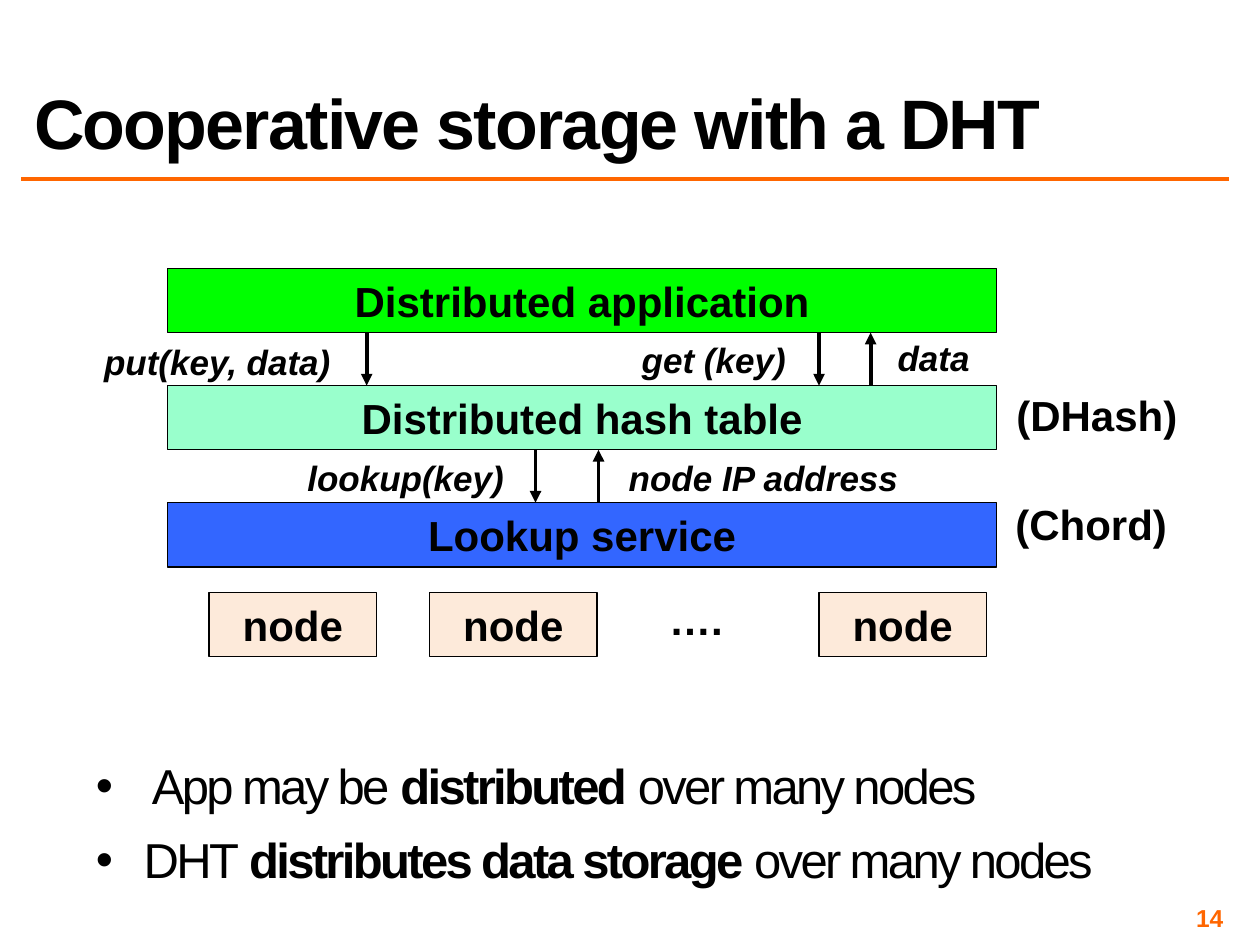
"""Build the slide on cooperative storage with a distributed hash table."""
from dataclasses import dataclass

import pptx
import pptx.dml.color
import pptx.enum.shapes
import pptx.enum.text
import pptx.oxml
import pptx.oxml.ns
import pptx.util

Inches, Pt = pptx.util.Inches, pptx.util.Pt
Align = pptx.enum.text.PP_ALIGN
Anchor = pptx.enum.text.MSO_ANCHOR


@dataclass(frozen=True)
class Theme:
    font: str = "Arial"
    ink: str = "000000"
    accent: str = "FF6600"
    node: str = "FDEADA"
    title_size: int = 40
    body_size: int = 28
    box_size: int = 24
    call_size: int = 20
    number_size: int = 14


THEME = Theme()
TITLE = "Cooperative storage with a DHT"
NUMBER = "14"
BULLETS = [
    [(" App may be ", False), ("distributed", True), (" over many nodes", False)],
    [("DHT ", False), ("distributes data storage ", True), ("over many nodes", False)],
]
LAYERS = [
    ("Distributed application", "00FF00"),
    ("Distributed hash table", "99FFCC"),
    ("Lookup service", "3366FF"),
]
ARROWS = [(0, 2.91, "down"), (0, 6.5, "down"), (0, 6.91, "up"),
          (1, 4.25, "down"), (1, 4.75, "up")]
CALLS = [
    ("put(key, data)", 0.72, 2.65, 2.01),
    ("get (key)", 4.99, 2.64, 1.35),
    ("data", 7.02, 2.62, 0.78),
    ("lookup(key)", 2.33, 3.57, 1.78),
    ("node IP address", 4.88, 3.57, 2.36),
]
NAMES = [("(DHash)", 7.96, 3.04, 1.49), ("(Chord)", 7.95, 3.91, 1.42),
         ("….", 5.21, 4.66, 0.63)]
NODE_LEFTS = [1.66, 3.41, 6.5]

MARGIN, RIGHT = 0.17, 9.75
LAYER_LEFT, LAYER_TOP, LAYER_WIDTH = 1.33, 2.13, 6.58
BOX_HEIGHT, LAYER_PITCH = 0.51, 0.93
NODE_TOP, NODE_WIDTH = 4.7, 1.33


def color(value):
    return pptx.dml.color.RGBColor.from_string(value)


def layer_top(row):
    return LAYER_TOP + row * LAYER_PITCH


def place(shape, left, top, width, height):
    shape.left, shape.top = Inches(left), Inches(top)
    shape.width, shape.height = Inches(width), Inches(height)


def add_run(paragraph, text, size, bold=True, italic=False, ink=THEME.ink, spacing=None):
    run = paragraph.add_run()
    run.text = text
    run.font.name, run.font.size = THEME.font, Pt(size)
    run.font.bold, run.font.italic = bold, italic
    run.font.color.rgb = color(ink)
    if spacing is not None:
        run.font._element.set("spc", str(int(spacing * 100)))


def set_frame(frame, anchor, wrap=True, inset=None):
    frame.word_wrap, frame.vertical_anchor = wrap, anchor
    frame.auto_size = pptx.enum.text.MSO_AUTO_SIZE.NONE
    if inset is not None:
        frame.margin_left = frame.margin_right = Inches(inset)
        frame.margin_top = frame.margin_bottom = Inches(inset)


def add_box(slide, text, left, top, width, fill):
    shape = slide.shapes.add_shape(
        pptx.enum.shapes.MSO_SHAPE.RECTANGLE,
        Inches(left), Inches(top), Inches(width), Inches(BOX_HEIGHT))
    shape.shadow.inherit = False
    shape.fill.solid()
    shape.fill.fore_color.rgb = color(fill)
    shape.line.color.rgb = color(THEME.ink)
    shape.line.width = Pt(0.75)
    set_frame(shape.text_frame, Anchor.MIDDLE)
    paragraph = shape.text_frame.paragraphs[0]
    paragraph.alignment = Align.CENTER
    add_run(paragraph, text, THEME.box_size)


def add_label(slide, text, left, top, width, size, italic=False):
    label = slide.shapes.add_textbox(
        Inches(left), Inches(top), Inches(width), Inches(size / 72 * 1.2 + 0.1))
    set_frame(label.text_frame, Anchor.TOP, wrap=False)
    paragraph = label.text_frame.paragraphs[0]
    paragraph.alignment = Align.CENTER
    add_run(paragraph, text, size, italic=italic)


def add_line(slide, start, end, ink, width, arrow=False):
    line = slide.shapes.add_connector(
        pptx.enum.shapes.MSO_CONNECTOR.STRAIGHT,
        *(Inches(length) for length in (*start, *end)))
    line.line.color.rgb = color(ink)
    line.line.width = Pt(width)
    if arrow:
        head = pptx.oxml.ns.qn("a:tailEnd")
        line.line._get_or_add_ln().append(line._element.makeelement(head, {"type": "triangle"}))
    properties = line._element.spPr
    properties.append(properties.makeelement(pptx.oxml.ns.qn("a:effectLst"), {}))


def add_title(slide):
    title = slide.shapes.title
    place(title, MARGIN, 0.17, RIGHT - MARGIN, 1.17)
    set_frame(title.text_frame, Anchor.BOTTOM)
    paragraph = title.text_frame.paragraphs[0]
    paragraph.alignment, paragraph.line_spacing = Align.LEFT, 0.8
    add_run(paragraph, TITLE, THEME.title_size, spacing=-1)


def add_bullets(slide):
    body = slide.placeholders[1]
    place(body, 0.72, 6.01, RIGHT - 0.72, 1.07)
    frame = body.text_frame
    set_frame(frame, Anchor.TOP, inset=0.04)
    for index, runs in enumerate(BULLETS):
        paragraph = frame.add_paragraph() if index else frame.paragraphs[0]
        properties = paragraph._p.get_or_add_pPr()
        properties.set("marL", str(Inches(0.38)))
        properties.set("indent", str(-Inches(0.38)))
        bullet = properties.makeelement(pptx.oxml.ns.qn("a:buChar"), {"char": "•"})
        properties.append(bullet)
        paragraph.line_spacing = 0.9
        paragraph.space_before = Pt(12 if index else 0)
        for text, bold in runs:
            add_run(paragraph, text, THEME.body_size, bold=bold, spacing=-1.5)


def add_number(slide):
    number = slide.shapes.add_textbox(Inches(7.42), Inches(7.17), Inches(2.33), Inches(0.23))
    set_frame(number.text_frame, Anchor.MIDDLE, inset=0.04)
    paragraph = number.text_frame.paragraphs[0]
    paragraph.alignment = Align.RIGHT
    add_run(paragraph, NUMBER, THEME.number_size, ink=THEME.accent)


def main():
    presentation = pptx.Presentation()
    presentation.slide_width, presentation.slide_height = Inches(10), Inches(7.5)
    slide = presentation.slides.add_slide(presentation.slide_layouts[1])
    add_line(slide, (MARGIN, 1.42), (RIGHT, 1.42), THEME.accent, 2)
    add_title(slide)
    add_bullets(slide)
    add_number(slide)
    for row, (text, fill) in enumerate(LAYERS):
        add_box(slide, text, LAYER_LEFT, layer_top(row), LAYER_WIDTH, fill)
    for left in NODE_LEFTS:
        add_box(slide, "node", left, NODE_TOP, NODE_WIDTH, THEME.node)
    for row, x, direction in ARROWS:
        upper, lower = (x, layer_top(row) + BOX_HEIGHT), (x, layer_top(row + 1))
        start, end = (upper, lower) if direction == "down" else (lower, upper)
        add_line(slide, start, end, THEME.ink, 2.25, arrow=True)
    for text, left, top, width in CALLS:
        add_label(slide, text, left, top, width, THEME.call_size, italic=True)
    for text, left, top, width in NAMES:
        add_label(slide, text, left, top, width, THEME.box_size)
    presentation.save("out.pptx")


if __name__ == "__main__":
    main()
